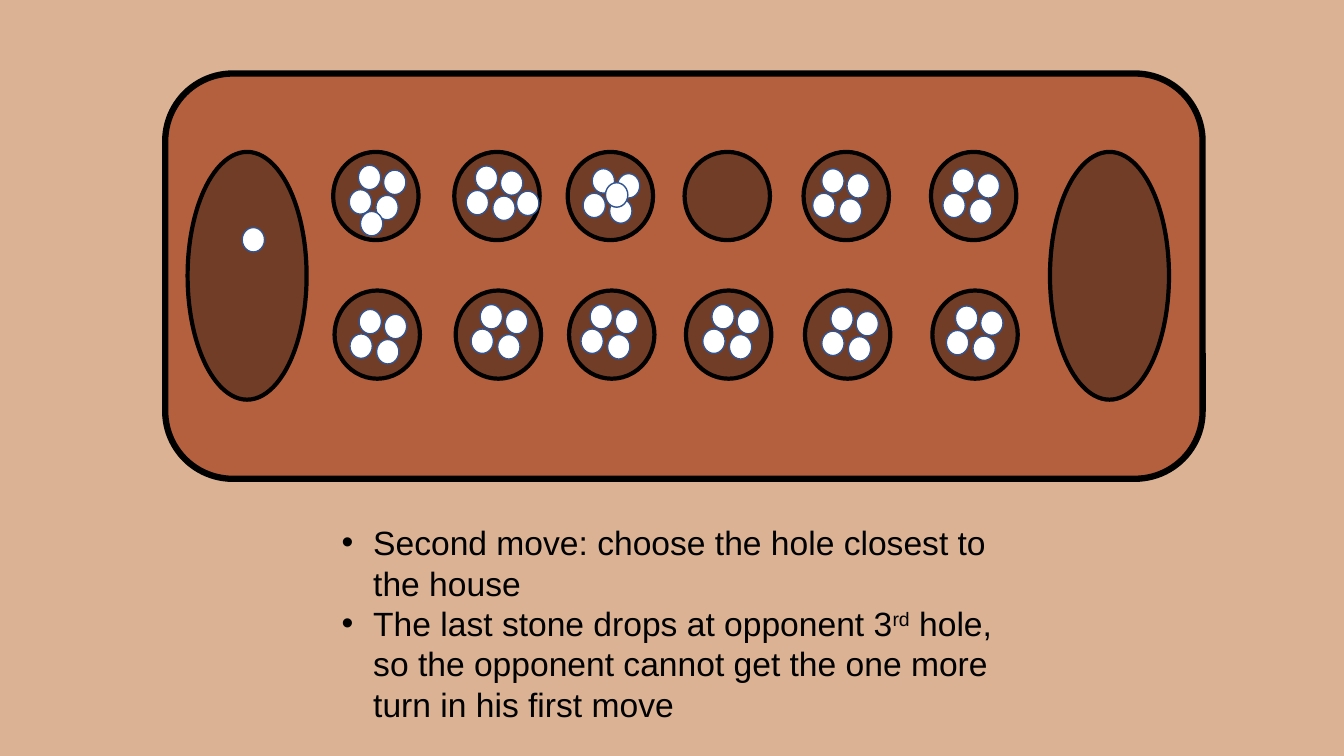
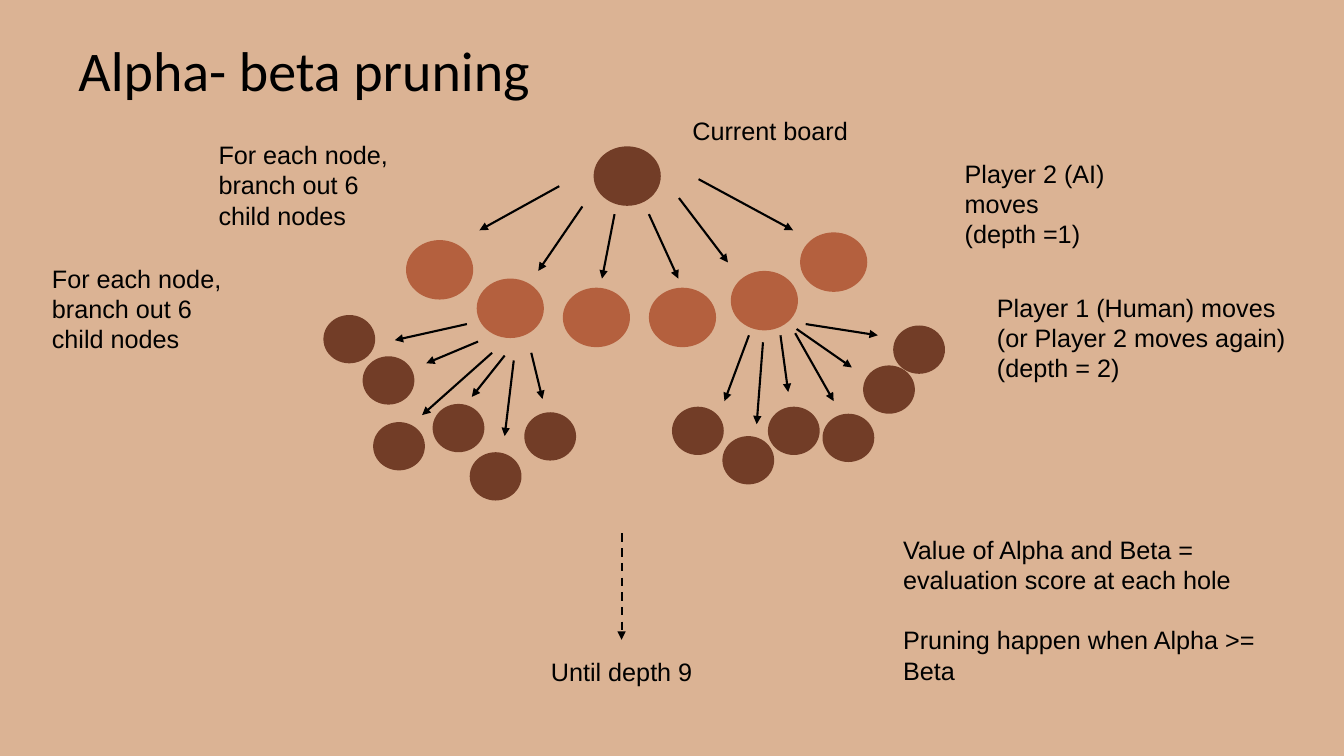
from lxml import etree
from pptx import Presentation
from pptx import util as u
from pptx.dml import color
from pptx.enum import dml, shapes, text
from pptx.oxml import ns

Pt = u.Pt
INK = {"sand": "DBB394", "clay": "B4603E", "wood": "723D27",
       "black": "000000", "white": "FFFFFF", "blue": "325491"}

BOARD = (118, 52.5, 741, 289.5)
HOUSE = (85, 177)
HOLE = (61, 63)
STONE = (16, 17.5)
COLS = (120, 206.5, 287.5, 371, 456, 547)
FOUR = ((0, 0), (18, 3.5), (12.5, 21.5), (-6.5, 17.5))
TOP = (
    ((18, 9.5), (1.5, 33)),
    ((15, 10), (29.5, 18)),
    ((17.5, 12), (9.5, 10)),
    None,
    ((13, 12), None),
    ((15, 12), None),
)
LOW = tuple((at, None) for at in (
    (17.5, 13.5), (17.5, 10), (15, 10), (18.5, 10), (18.5, 11.5), (16.5, 11)))

TREE = (231, 104.5)
NODE = (48, 42.5)
LEAF = (37, 34.5)
ROOT = (193, 0)
KIDS = ((59, 67), (109.5, 94.5), (171, 101), (232.5, 101), (291, 89), (340.5, 61.5))
LEFT = ((0, 120.5), (28, 150), (35.5, 197), (78, 184), (104.5, 218.5), (143.5, 190))
RIGHT = ((249, 186), (285, 207), (317.5, 186), (356.5, 191), (385.5, 156.5), (407, 128))
ARROWS = (
    (168.5, 28.5, 111.5, 60), (185, 43, 153.5, 89), (208, 48.5, 199, 94.5),
    (232.5, 48.5, 253.5, 94.5), (254, 37, 289, 83), (268, 23.5, 335.5, 60),
    (102.5, 127, 51, 138.5), (110.5, 139.5, 73.5, 155), (120.5, 147.5, 70.5, 192),
    (129.5, 149.5, 106, 179), (136, 153, 129.5, 207), (148.5, 147.5, 156.5, 180.5),
    (304, 135, 286.5, 182), (314, 140, 309.5, 198.5), (326.5, 135, 332, 175.5),
    (337, 133.5, 364.5, 182), (338, 130.5, 377.5, 158), (344.5, 127, 396, 135),
)
BRANCH = ["For each node, branch out 6 child nodes"]
NOTES = (
    ((487.5, 79, 165, 29), ["Current board"]),
    ((149, 96, 150.5, 94), BRANCH),
    ((30, 184.5, 150.5, 94), BRANCH),
    ((682, 109.5, 157.5, 73), ["Player 2 (AI) moves", "(depth =1)"]),
    ((705, 205, 225.5, 94),
     ["Player 1 (Human) moves", "(or Player 2 moves again)", "(depth = 2)"]),
)


def rgb(name):
    return color.RGBColor.from_string(INK[name])


def add_page(deck):
    page = deck.slides.add_slide(deck.slide_layouts[6])
    page.background.fill.solid()
    page.background.fill.fore_color.rgb = rgb("sand")
    return page


def add_form(page, kind, at, size, fill, line=None, width=0):
    form = page.shapes.add_shape(kind, *map(Pt, (*at, *size)))
    form.shadow.inherit = False
    form.fill.solid()
    form.fill.fore_color.rgb = rgb(fill)
    if line:
        form.line.color.rgb = rgb(line)
        form.line.width = Pt(width)
    else:
        form.line.fill.background()


def add_oval(page, *args):
    add_form(page, shapes.MSO_SHAPE.OVAL, *args)


def add_arrow(page, x1, y1, x2, y2, dash=False):
    link = page.shapes.add_connector(
        shapes.MSO_CONNECTOR.STRAIGHT, *map(Pt, (x1, y1, x2, y2)))
    link.line.color.rgb = rgb("black")
    link.line.width = Pt(1.5)
    if dash:
        link.line.dash_style = dml.MSO_LINE.DASH
    stroke = link.line._get_or_add_ln()
    etree.SubElement(stroke, ns.qn("a:tailEnd"), type="triangle")
    etree.SubElement(link._element.spPr, ns.qn("a:effectLst"))


def add_text(page, box, lines, size=18, face="Arial"):
    frame = page.shapes.add_textbox(*map(Pt, box)).text_frame
    frame.word_wrap = True
    for i, line in enumerate(lines):
        para = frame.paragraphs[0] if i == 0 else frame.add_paragraph()
        para.font.size = Pt(size)
        para.font.name = face
        para.font.color.rgb = rgb("black")
        for part in [line] if isinstance(line, str) else line:
            para.add_run().text = part
    return frame


def add_title(page, title):
    frame = add_text(page, (49, 0, 828, 104.5), [title], 40, "Calibri")
    frame.vertical_anchor = text.MSO_ANCHOR.MIDDLE
    frame.paragraphs[0].line_spacing = 0.9


def add_list(page, box, lines):
    frame = add_text(page, box, lines, 24)
    for para in frame.paragraphs:
        props = para._p.get_or_add_pPr()
        props.set("marL", str(Pt(22.5)))
        props.set("indent", str(-Pt(22.5)))
        font = etree.Element(ns.qn("a:buFont"), typeface="Arial")
        mark = etree.Element(ns.qn("a:buChar"), char="•")
        props.insert(0, font)
        props.insert(1, mark)
    return frame


def add_hole(page, x, y, stones):
    add_oval(page, (x, y), HOLE, "wood", "black", 3)
    if stones:
        (dx, dy), extra = stones
        for sx, sy in FOUR + ((extra,) if extra else ()):
            add_stone(page, x + dx + sx, y + dy + sy)


def add_stone(page, x, y):
    add_oval(page, (x, y), STONE, "white", "blue", 1)


def add_board(page, box):
    x, y, w, h = box
    add_form(page, shapes.MSO_SHAPE.ROUNDED_RECTANGLE, (x, y), (w, h),
             "clay", "black", 4.5)
    for dx in (16, 632):
        add_oval(page, (x + dx, y + 56), HOUSE, "wood", "black", 3)
    add_stone(page, x + 55, y + 110)
    for shift, dy, row in ((0, 56, TOP), (1, 155, LOW)):
        for dx, stones in zip(COLS, row):
            add_hole(page, x + dx + shift, y + dy, stones)


def add_tree(page, x, y):
    for spots, size, fill in (((ROOT,), NODE, "wood"), (KIDS, NODE, "clay"),
                              (LEFT + RIGHT, LEAF, "wood")):
        for dx, dy in spots:
            add_oval(page, (x + dx, y + dy), size, fill)
    for x1, y1, x2, y2 in ARROWS:
        add_arrow(page, x + x1, y + y1, x + x2, y + y2)


def move_slide(deck):
    page = add_page(deck)
    add_board(page, BOARD)
    frame = add_list(page, (237, 369.5, 503, 152.5), [
        "Second move: choose the hole closest to the house",
        ("The last stone drops at opponent 3", "rd",
         " hole, so the opponent cannot get the one more turn in his first move"),
    ])
    frame.paragraphs[1].runs[1]._r.get_or_add_rPr().set("baseline", "30000")


def tree_slide(deck):
    page = add_page(deck)
    add_title(page, "Alpha- beta pruning")
    add_tree(page, *TREE)
    for box, lines in NOTES:
        add_text(page, box, lines)
    add_arrow(page, 444, 381, 444, 457, dash=True)
    depth = add_text(page, (358.5, 465, 171, 29), ["Until depth 9"])
    depth.paragraphs[0].alignment = text.PP_ALIGN.CENTER
    rule = add_text(page, (638, 378, 265.5, 116.5), [
        "Value of Alpha and Beta = evaluation score at each hole",
        "Pruning happen when Alpha >= Beta"])
    rule.paragraphs[1].space_before = Pt(21.5)


def main():
    deck = Presentation()
    deck.slide_width, deck.slide_height = Pt(960), Pt(540)
    move_slide(deck)
    tree_slide(deck)
    deck.save("out.pptx")


if __name__ == "__main__":
    main()
